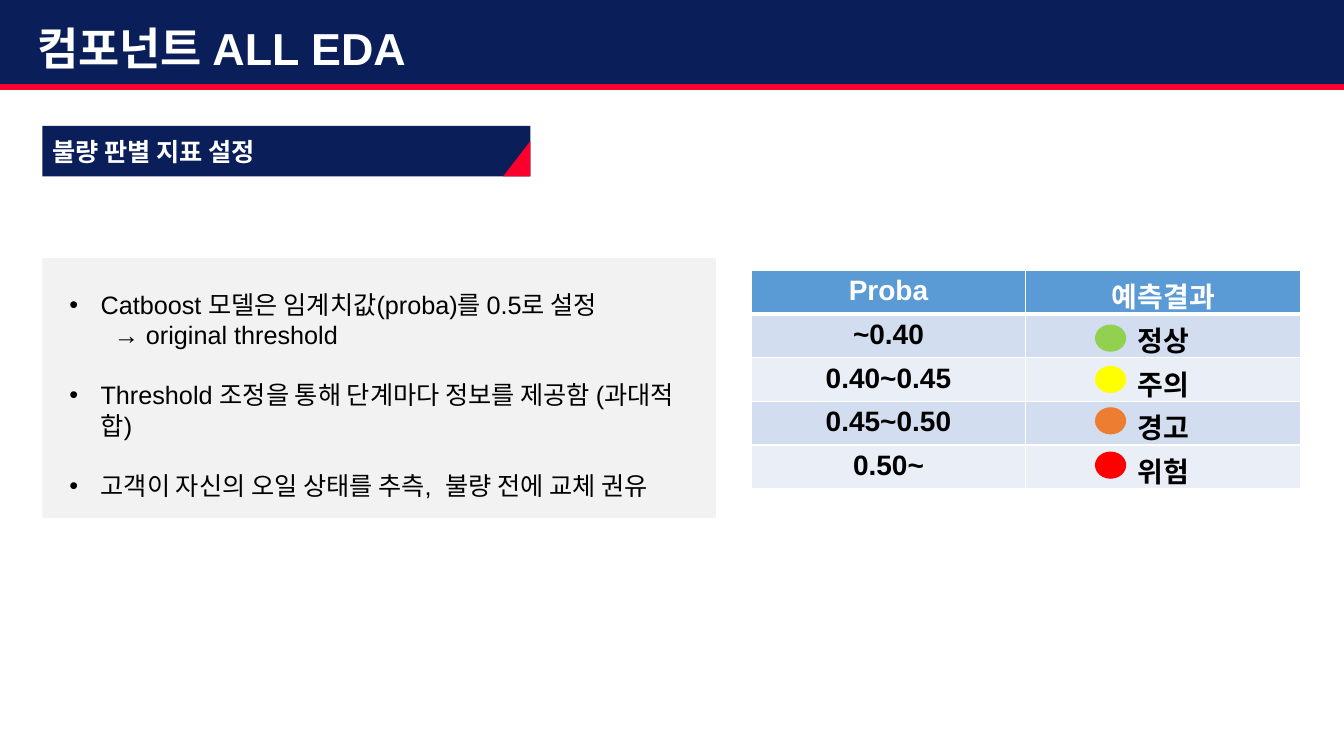
from pptx import Presentation
from pptx.dml.color import RGBColor
from pptx.enum.shapes import MSO_CONNECTOR, MSO_SHAPE as SHAPE
from pptx.enum.text import MSO_ANCHOR, PP_ALIGN
from pptx.oxml import parse_xml
from pptx.oxml.ns import nsdecls
from pptx.util import Inches, Pt

COLORS = {
    "navy": "0A1E5A", "crimson": "FA002D", "white": "FFFFFF", "black": "000000",
    "panel": "F2F2F2", "header": "5B9BD5", "band": "D2DEEF", "pale": "EAEFF7",
    "green": "92D050", "yellow": "FFFF00", "orange": "ED7D31", "red": "FF0000",
}

deck = Presentation()
deck.slide_width, deck.slide_height = Inches(13.33), Inches(7.5)
page = deck.slides.add_slide(deck.slide_layouts[6])


def add_block(kind, color, left, top, width, height):
    """Add a flat filled shape without outline or shadow."""
    block = page.shapes.add_shape(kind, Inches(left), Inches(top), Inches(width), Inches(height))
    block.shadow.inherit = False
    block.fill.solid()
    block.fill.fore_color.rgb = RGBColor.from_string(COLORS[color])
    block.line.fill.background()
    return block


def write(para, text, color, size, bold=False):
    span = para.add_run()
    span.text = text
    span.font.color.rgb = RGBColor.from_string(COLORS[color])
    for name, value in {"name": "Arial", "size": Pt(size), "bold": bold}.items():
        setattr(span.font, name, value)


# Title band
add_block(SHAPE.RECTANGLE, "navy", 0, 0, 13.33, 0.86)
title = page.shapes.add_textbox(Inches(0.27), Inches(0.16), Inches(12.89), Inches(0.64))
title.text_frame.word_wrap = True
write(title.text_frame.paragraphs[0], "컴포넌트 ALL EDA", "white", 32, True)

rule = page.shapes.add_connector(
    MSO_CONNECTOR.STRAIGHT, 0, Inches(0.86), deck.slide_width, Inches(0.86))
rule.line.color.rgb = RGBColor.from_string(COLORS["crimson"])
rule.line.width = Pt(4.5)
rule._element.spPr.append(parse_xml(f"<a:effectLst {nsdecls('a')}/>"))

# Section label
label = add_block(SHAPE.RECTANGLE, "navy", 0.42, 1.25, 4.84, 0.5)
label.text_frame.vertical_anchor = MSO_ANCHOR.MIDDLE
label.text_frame.paragraphs[0].alignment = PP_ALIGN.LEFT
write(label.text_frame.paragraphs[0], "불량 판별 지표 설정", "white", 18, True)
corner = add_block(SHAPE.RIGHT_TRIANGLE, "crimson", 4.99, 1.4, 0.27, 0.35)
corner._element.spPr.xfrm.set("flipH", "1")

# Threshold table
ROWS = [("Proba", "예측결과"), ("~0.40", "정상"), ("0.40~0.45", "주의"),
        ("0.45~0.50", "경고"), ("0.50~", "위험")]
table = page.shapes.add_table(
    len(ROWS), 2, Inches(7.45), Inches(2.68), Inches(5.45), Inches(2.17)).table
for r, row in enumerate(ROWS):
    fill = "header" if r == 0 else ("pale", "band")[r % 2]
    for c, text in enumerate(row):
        cell = table.cell(r, c)
        for side in "LRTB":
            heavy = (r, side) in ((0, "B"), (1, "T"))
            cell._tc.get_or_add_tcPr().append(parse_xml(
                f'<a:ln{side} {nsdecls("a")} w="{Pt(3 if heavy else 1)}"><a:solidFill>'
                f'<a:srgbClr val="{COLORS["white"]}"/></a:solidFill></a:ln{side}>'))
        cell.fill.solid()
        cell.fill.fore_color.rgb = RGBColor.from_string(COLORS[fill])
        para = cell.text_frame.paragraphs[0]
        para.alignment = PP_ALIGN.CENTER
        write(para, text, "black" if r else "white", 20, True)

# Explanation panel: text, bulleted, left margin
NOTES = [
    ("Catboost 모델은 임계치값(proba)를 0.5로 설정", True, 0.31),
    ("→ original threshold", False, 0.44),
    ("Threshold 조정을 통해 단계마다 정보를 제공함 (과대적합)", True, 0.31),
    ("고객이 자신의 오일 상태를 추측,  불량 전에 교체 권유", True, 0.31),
]
add_block(SHAPE.RECTANGLE, "panel", 0.42, 2.56, 6.68, 2.58)
notes = page.shapes.add_textbox(Inches(0.59), Inches(2.82), Inches(6.5), Inches(1.92))
notes.text_frame.word_wrap = True
for i, (text, bulleted, margin) in enumerate(NOTES):
    para = notes.text_frame.paragraphs[0] if i == 0 else notes.text_frame.add_paragraph()
    layout = para._p.get_or_add_pPr()
    layout.set("marL", str(Inches(margin)))
    if bulleted:
        layout.set("indent", str(-Inches(margin)))
        layout.append(parse_xml(f'<a:buFont {nsdecls("a")} typeface="Arial"/>'))
        layout.append(parse_xml(f'<a:buChar {nsdecls("a")} char="•"/>'))
        if i:
            para.space_before = Pt(21.5)
    write(para, text, "black", 18)

# Status lights beside the results
for color, top in (("green", 3.22), ("yellow", 3.63), ("orange", 4.04), ("red", 4.48)):
    add_block(SHAPE.OVAL, color, 10.86, top, 0.31, 0.27)

deck.save("out.pptx")
